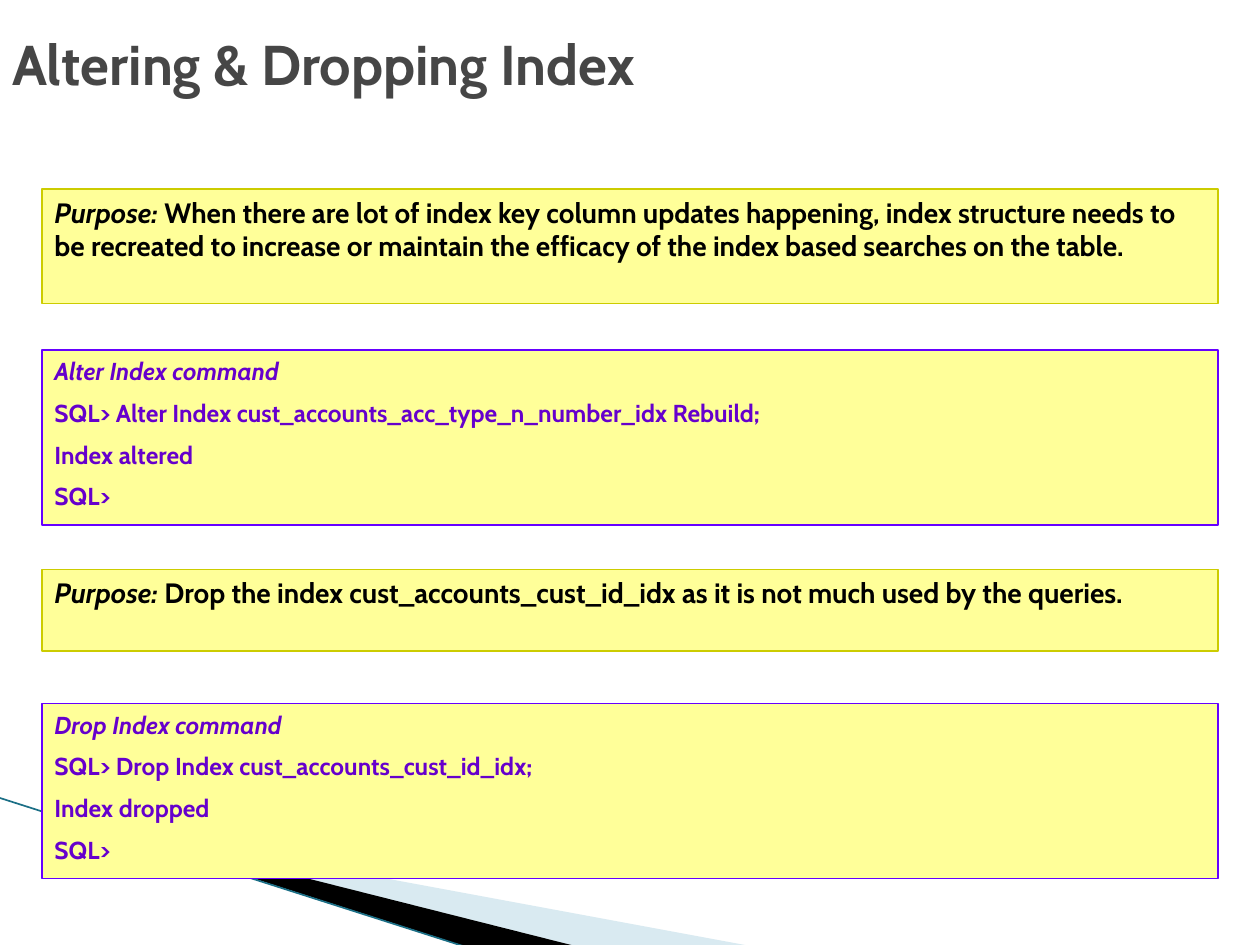
from dataclasses import dataclass

from lxml.etree import SubElement
from pptx import Presentation
from pptx.dml.color import RGBColor as Color
from pptx.enum.shapes import MSO_CONNECTOR as Connector, MSO_SHAPE as Shape
from pptx.enum.text import MSO_ANCHOR as Anchor, PP_ALIGN as Align
from pptx.oxml.ns import qn
from pptx.util import Pt


@dataclass(frozen=True)
class Theme:
    font: str = "Cabin"
    title_size: int = 32
    purpose_size: int = 16
    command_size: int = 14
    title: str = "464646"
    purpose: str = "000000"
    command: str = "6600CC"
    panel: str = "FFFF99"
    purpose_edge: str = "CCCC00"
    command_edge: str = "6600FF"
    pale_ribbon: str = "A0CBDC"
    dark_ribbon: str = "000000"
    ribbon_edge: str = "1B6F86"


class SlideBuilder:
    """Draws styled elements on the current slide, measured in points."""

    def __init__(self, slide, theme):
        self.slide = slide
        self.theme = theme

    def ribbon(self, points, color, opacity=100):
        start, *rest = [(Pt(x), Pt(y)) for x, y in points]
        outline = self.slide.shapes.build_freeform(*start)
        outline.add_line_segments(rest, close=True)
        shape = outline.convert_to_shape()
        shape.shadow.inherit = False
        shape.line.fill.background()
        shape.fill.solid()
        shape.fill.fore_color.rgb = Color.from_string(color)
        if opacity < 100:
            fill = shape._element.spPr.find(qn("a:solidFill"))
            SubElement(fill[0], qn("a:alpha"), val=str(opacity * 1000))

    def line(self, start, end, color, width):
        ends = [Pt(value) for value in (*start, *end)]
        line = self.slide.shapes.add_connector(Connector.STRAIGHT, *ends)
        line.line.color.rgb = Color.from_string(color)
        line.line.width = Pt(width)
        SubElement(line._element.spPr, qn("a:effectLst"))

    def text(self, frame, paragraphs, size, color, gap=0):
        frame.word_wrap = True
        for index, runs in enumerate(paragraphs):
            para = frame.add_paragraph() if index else frame.paragraphs[0]
            para.alignment = Align.LEFT
            para.space_before = Pt(gap if index else 0)
            for words, italic in runs:
                span = para.add_run()
                span.text = words
                span.font.name = self.theme.font
                span.font.size = Pt(size)
                span.font.bold = True
                span.font.italic = italic
                span.font.color.rgb = Color.from_string(color)

    def title(self, words):
        box = self.slide.shapes.add_textbox(0, 0, Pt(595.5), Pt(72))
        box.text_frame.vertical_anchor = Anchor.MIDDLE
        self.text(box.text_frame, [[(words, False)]], self.theme.title_size, self.theme.title)

    def panel(self, top, height, edge, paragraphs, size, color):
        box = self.slide.shapes.add_shape(Shape.RECTANGLE, Pt(24), Pt(top), Pt(672), Pt(height))
        box.shadow.inherit = False
        box.fill.solid()
        box.fill.fore_color.rgb = Color.from_string(self.theme.panel)
        box.line.color.rgb = Color.from_string(edge)
        box.line.width = Pt(0.75)
        box.text_frame.vertical_anchor = Anchor.TOP
        self.text(box.text_frame, paragraphs, size, color, gap=size / 2)

    def purpose(self, top, height, words):
        theme = self.theme
        runs = [("Purpose: ", True), (words, False)]
        self.panel(top, height, theme.purpose_edge, [runs], theme.purpose_size, theme.purpose)

    def command(self, top, heading, *lines):
        theme = self.theme
        paragraphs = [[(heading, True)], *([(line, False)] for line in lines)]
        self.panel(top, 100, theme.command_edge, paragraphs, theme.command_size, theme.command)


def main():
    deck = Presentation()
    deck.slide_width, deck.slide_height = Pt(720), Pt(540)
    theme = Theme()
    page = SlideBuilder(deck.slides.add_slide(deck.slide_layouts[6]), theme)

    page.ribbon([(39.6, 468.5), (428.4, 540.5), (328.3, 540.5), (39.6, 468)], theme.pale_ribbon, 40)
    page.ribbon([(38.2, 467.3), (329, 540.7), (267.8, 541.4), (38.9, 468)], theme.dark_ribbon)
    page.line((-0.7, 455.8), (267.1, 541.4), theme.ribbon_edge, 0.95)

    page.title("Altering & Dropping Index")
    page.purpose(
        108, 65.5,
        "When there are lot of index key column updates happening, index structure needs to be "
        "recreated to increase or maintain the efficacy of the index based searches on the table.",
    )
    page.command(
        200, "Alter Index command",
        "SQL> Alter Index cust_accounts_acc_type_n_number_idx Rebuild;", "Index altered", "SQL>",
    )
    page.purpose(
        325.5, 46.5,
        "Drop the index cust_accounts_cust_id_idx as it is not much used by the queries.",
    )
    page.command(
        402, "Drop Index command",
        "SQL> Drop Index cust_accounts_cust_id_idx;", "Index dropped", "SQL>",
    )
    deck.save("out.pptx")


if __name__ == "__main__":
    main()
